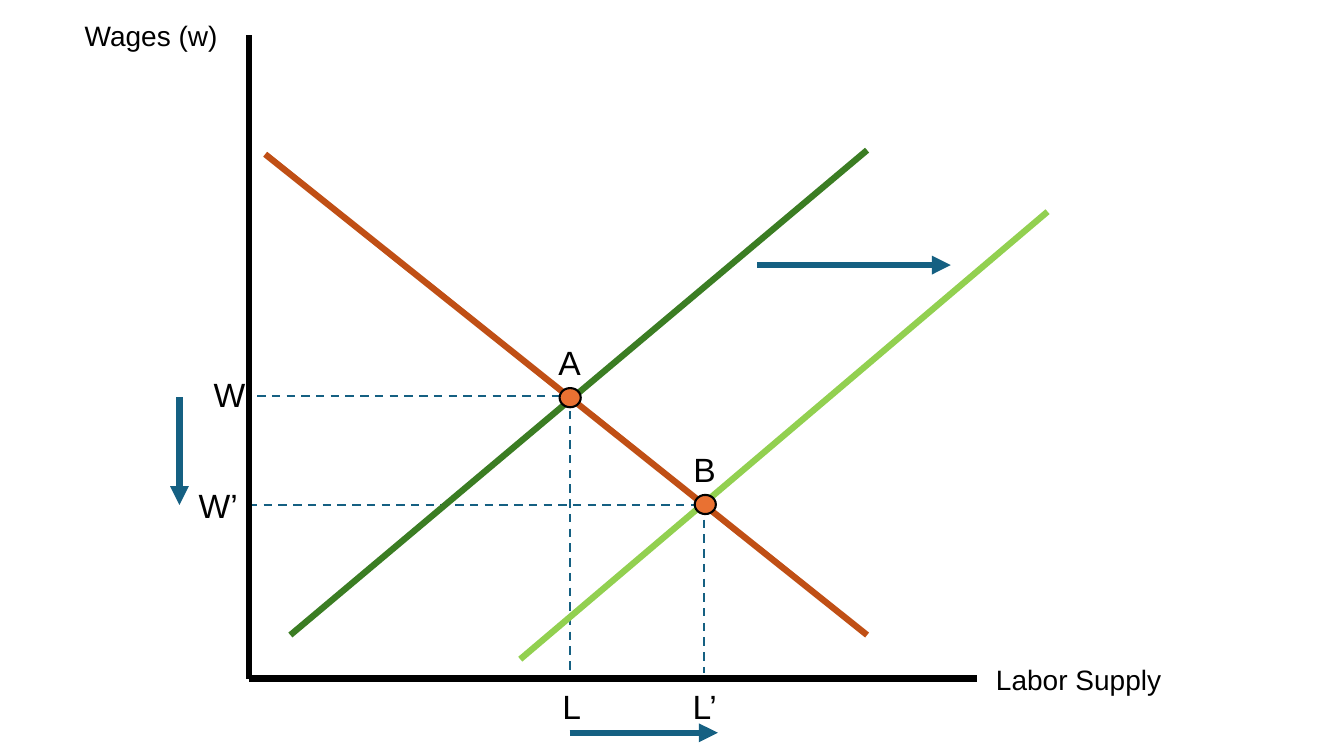
from lxml import etree
from pptx import Presentation
from pptx.dml.color import RGBColor
from pptx.enum.dml import MSO_LINE
from pptx.enum.shapes import MSO_CONNECTOR, MSO_SHAPE
from pptx.enum.text import MSO_AUTO_SIZE, PP_ALIGN
from pptx.oxml.ns import qn
from pptx.util import Inches, Pt

STRAIGHT = MSO_CONNECTOR.STRAIGHT
OVAL = MSO_SHAPE.OVAL
DASH = MSO_LINE.DASH
GROW = MSO_AUTO_SIZE.SHAPE_TO_FIT_TEXT
LEFT = PP_ALIGN.LEFT
CENTER = PP_ALIGN.CENTER
FONT = "Arial"
COLORS = {
    "axis": "000000",
    "text": "000000",
    "guide": "156082",
    "demand": "C04F15",
    "supply": "3B7D23",
    "new_supply": "92D050",
    "point": "E97132",
}


class Diagram:
    """Draws styled lines, points and labels on one slide."""

    def __init__(self, slide):
        self.shapes = slide.shapes

    def color(self, name):
        return RGBColor.from_string(COLORS[name])

    def line(self, start, end, color, width=4.5):
        ends = [Inches(value) for value in (*start, *end)]
        connector = self.shapes.add_connector(STRAIGHT, *ends)
        connector.line.color.rgb = self.color(color)
        connector.line.width = Pt(width)
        properties = connector._element.spPr
        etree.SubElement(properties, qn("a:effectLst"))
        return connector

    def guide(self, start, end):
        self.line(start, end, "guide", 1.5).line.dash_style = DASH

    def arrow(self, start, end):
        connector = self.line(start, end, "guide")
        outline = connector.line._get_or_add_ln()
        etree.SubElement(outline, qn("a:tailEnd"), type="triangle")

    def point(self, left, top):
        shape = self.shapes.add_shape(
            OVAL, Inches(left), Inches(top), Inches(0.21), Inches(0.19)
        )
        shape.shadow.inherit = False
        shape.fill.solid()
        shape.fill.fore_color.rgb = self.color("point")
        shape.line.color.rgb = self.color("axis")
        shape.line.width = Pt(1.5)

    def label(self, text, left, top, width, height=0.5, size=24, align=CENTER):
        box = self.shapes.add_textbox(
            Inches(left), Inches(top), Inches(width), Inches(height)
        )
        frame = box.text_frame
        frame.word_wrap = True
        frame.auto_size = GROW
        frame.text = text
        paragraph = frame.paragraphs[0]
        paragraph.alignment = align
        font = paragraph.runs[0].font
        font.name = FONT
        font.size = Pt(size)
        font.color.rgb = self.color("text")


def main():
    presentation = Presentation()
    presentation.slide_width = Inches(13.33)
    presentation.slide_height = Inches(7.5)
    slide = presentation.slides.add_slide(presentation.slide_layouts[6])
    diagram = Diagram(slide)

    for wage_start, corner, labor_end in (
        ((2.47, 5.01), (6.98, 5.01), (6.98, 6.68)),
        ((2.55, 3.93), (5.65, 3.93), (5.65, 6.65)),
    ):
        diagram.guide(wage_start, corner)
        diagram.guide(corner, labor_end)

    diagram.line((2.63, 1.53), (8.6, 6.3), "demand")
    diagram.line((2.47, 0.35), (2.47, 6.74), "axis")
    diagram.line((9.69, 6.73), (2.47, 6.73), "axis")
    diagram.label("Wages (w)", 0.74, 0.13, 1.81, 0.44, 20, LEFT)
    diagram.label("Labor Supply", 9.78, 6.52, 2.1, 0.44, 20, LEFT)

    for name, color, start, end, left, top in (
        ("A", "supply", (8.6, 1.49), (2.88, 6.3), 5.55, 3.85),
        ("B", "new_supply", (10.39, 2.1), (5.16, 6.54), 6.89, 4.91),
    ):
        diagram.line(start, end, color)
        diagram.point(left, top)
        diagram.label(name, left - 0.11, top - 0.51, 0.34, align=LEFT)

    for text, left, top, width in (
        ("L", 5.48, 6.76, 0.34),
        ("L’", 6.71, 6.76, 0.56),
        ("W", 2.02, 3.66, 0.34),
        ("W’", 1.78, 4.76, 0.77),
    ):
        diagram.label(text, left, top, width)

    for start, end in (
        ((7.51, 2.63), (9.43, 2.63)),
        ((5.65, 7.27), (7.12, 7.27)),
        ((1.78, 3.94), (1.78, 5.01)),
    ):
        diagram.arrow(start, end)

    presentation.save("out.pptx")


if __name__ == "__main__":
    main()
